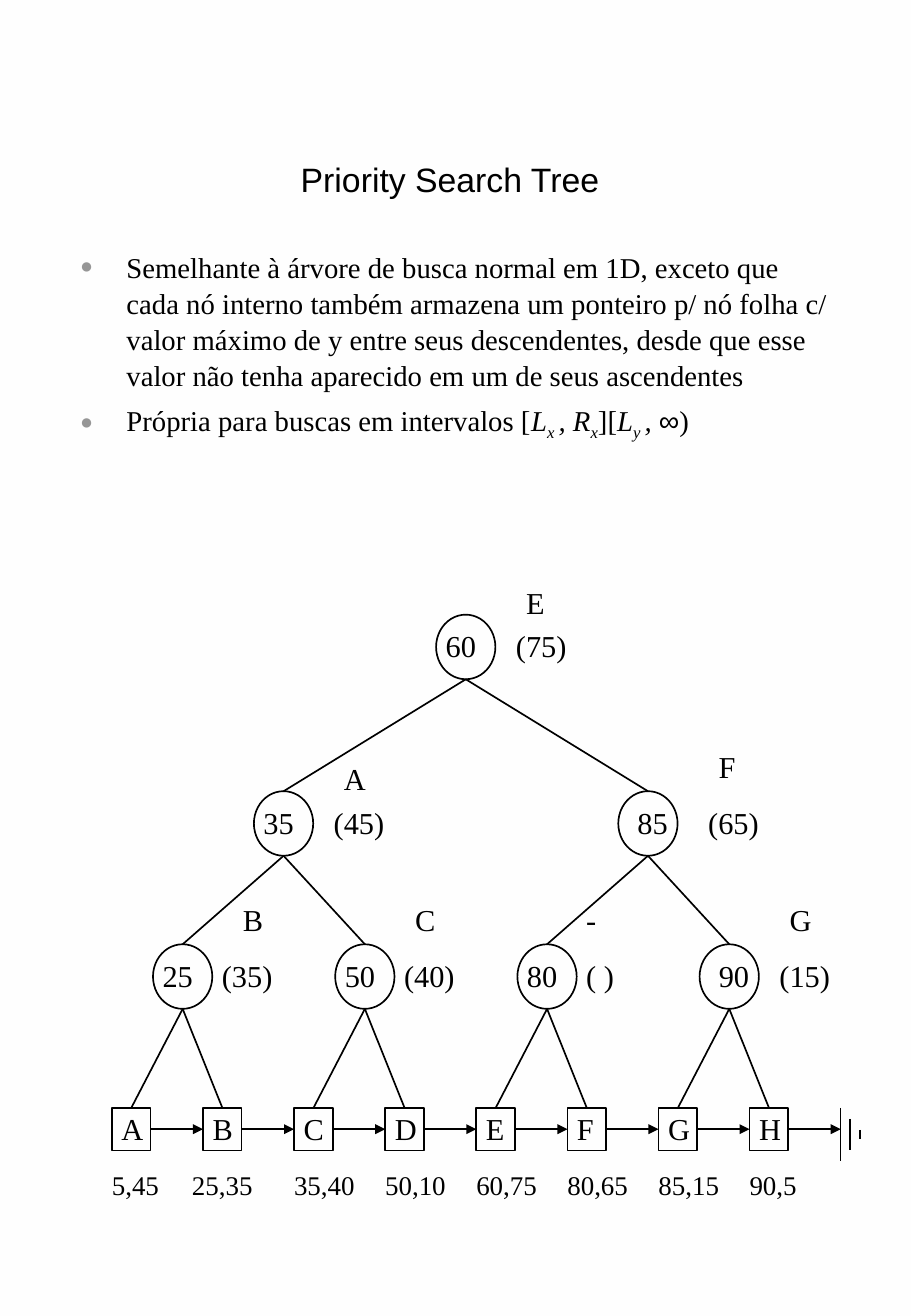
"""Builds the slide that explains the priority search tree."""
from lxml.etree import SubElement
from pptx import Presentation
from pptx.dml.color import RGBColor
from pptx.enum.shapes import MSO_CONNECTOR as Link, MSO_SHAPE as Preset
from pptx.enum.text import MSO_ANCHOR as Anchor, MSO_AUTO_SIZE as Fit, PP_ALIGN as Align
from pptx.oxml.ns import qn
from pptx.util import Cm, Pt

BLACK = RGBColor(0x00, 0x00, 0x00)
WHITE = RGBColor(0xFF, 0xFF, 0xFF)
OFF_WHITE = RGBColor(0xFE, 0xFE, 0xFE)
BULLET_GREY = RGBColor(0x96, 0x96, 0x96)
SERIF, SANS = "Times New Roman", "Arial"
ADVANCE = {"(": .33, ")": .33, "-": .33, ",": .25, " ": .25, "A": .72, "B": .67, "C": .67,
           "D": .72, "E": .61, "F": .56, "G": .72, "H": .72}
CM_PER_PT = 2.54 / 72

NODE_W, NODE_H = 1.24, 1.35
LEAF_W, LEAF_H = 0.81, 0.89
LEAF_LEFT, LEAF_TOP, LEAF_PITCH = 2.34, 23.16, 19.05 / 10
LEVEL_TOPS = [12.85, 16.54, 19.74]
LEVEL_CENTRES = [9.74, 5.93, 3.82]
LEVEL_PITCHES = [0, 7.62, 3.81]

LEVELS = [
    [("60", -.05, "(75)", 1.42, "E", 1.63, -.76)],
    [("35", -.05, "(45)", 1.42, "A", 1.63, -.77), ("85", .15, "(65)", 1.63, "F", 1.85, -1.02)],
    [("25", -.05, "(35)", 1.19, "B", 1.63, -1.02), ("50", -.05, "(40)", 1.19, "C", 1.42, -1.02),
     ("80", -.05, "( )", 1.19, "-", 1.19, -1.02), ("90", .15, "(15)", 1.42, "G", 1.63, -1.02)],
]
LEAVES = [("A", "5,45", -.25), ("B", "25,35", -.48), ("C", "35,40", -.25), ("D", "50,10", -.25),
          ("E", "60,75", -.25), ("F", "80,65", -.25), ("G", "85,15", -.25), ("H", "90,5", -.25)]
DEFINITION = ("Semelhante à árvore de busca normal em 1D, exceto que cada nó interno também "
              "armazena um ponteiro p/ nó folha c/ valor máximo de y entre seus descendentes, "
              "desde que esse valor não tenha aparecido em um de seus ascendentes")
POINTS = [
    [(DEFINITION, "")],
    [("Própria para buscas em intervalos [", ""), ("L", "i"), ("x ", "is"), (", R", "i"),
     ("x", "is"), ("][", ""), ("L", "i"), ("y ", "is"), (", ", "i"), ("∞", "a"), (")", "")],
]


class TreeSlide:
    """Draws every kind of element on one slide in a single style."""

    def __init__(self, deck):
        self.slide = deck.slides.add_slide(deck.slide_layouts[1])
        fill = self.slide.background.fill
        fill.gradient()
        fill.gradient_angle = 180
        for stop, color in zip(fill.gradient_stops, (OFF_WHITE, WHITE)):
            stop.color.rgb = color

    def style(self, run, size, name=SERIF):
        run.font.size, run.font.name = Pt(size), name
        run.font.color.rgb = BLACK

    def place(self, holder, left, top, width, height):
        holder.left, holder.top, holder.width, holder.height = map(Cm, (left, top, width, height))
        holder.text_frame.auto_size = Fit.NONE
        return holder.text_frame

    def title(self, text):
        frame = self.place(self.slide.shapes.title, 1.42, 2.44, 16.18, 2.59)
        frame.vertical_anchor = Anchor.MIDDLE
        frame.text = text
        frame.paragraphs[0].alignment = Align.CENTER
        self.style(frame.paragraphs[0].runs[0], 20, SANS)

    def points(self, points):
        frame = self.place(self.slide.placeholders[1], 1.42, 5.05, 16.18, 5.03)
        for number, pieces in enumerate(points):
            paragraph = frame.add_paragraph() if number else frame.paragraphs[0]
            paragraph.space_before = Pt(5 if number else 0)
            paragraph.line_spacing = 1.05
            self.bullet(paragraph)
            for text, marks in pieces:
                run = paragraph.add_run()
                run.text = text
                self.style(run, 17, SANS if "a" in marks else SERIF)
                run.font.italic = "i" in marks
                if "s" in marks:
                    run.font._element.set("baseline", "-25000")

    def bullet(self, paragraph):
        props = paragraph._p.get_or_add_pPr()
        props.set("marL", str(Cm(.97)))
        props.set("indent", str(-Cm(.97)))
        color = SubElement(props, qn("a:buClr"))
        SubElement(color, qn("a:srgbClr"), val=str(BULLET_GREY))
        SubElement(props, qn("a:buSzPct"), val="75000")
        SubElement(props, qn("a:buFont"), typeface=SERIF)
        SubElement(props, qn("a:buChar"), char="●")

    def label(self, text, left, top, size=18):
        width = .51 + size * CM_PER_PT * sum(ADVANCE.get(sign, .5) for sign in text)
        box = self.slide.shapes.add_textbox(Cm(left), Cm(top), Cm(width),
                                            Cm(.25 + size * CM_PER_PT * 1.15))
        box.text_frame.word_wrap = False
        box.text_frame.auto_size = Fit.SHAPE_TO_FIT_TEXT
        box.text_frame.text = text
        self.style(box.text_frame.paragraphs[0].runs[0], size)

    def outline(self, preset, left, top, width, height):
        shape = self.slide.shapes.add_shape(preset, Cm(left), Cm(top), Cm(width), Cm(height))
        shape.shadow.inherit = False
        shape.fill.background()
        shape.line.color.rgb, shape.line.width = BLACK, Pt(1)
        return shape

    def line(self, x1, y1, x2, y2, arrow=False):
        link = self.slide.shapes.add_connector(Link.STRAIGHT, Cm(x1), Cm(y1), Cm(x2), Cm(y2))
        link.line.color.rgb, link.line.width = BLACK, Pt(1)
        if arrow:
            SubElement(link.line._get_or_add_ln(), qn("a:tailEnd"), type="triangle")
        SubElement(link._element.spPr, qn("a:effectLst"))
        return link

    def node(self, centre, top, value, value_dx, highest, highest_dx, owner, owner_dx, owner_dy):
        left = centre - NODE_W / 2
        self.outline(Preset.OVAL, left, top, NODE_W, NODE_H)
        self.label(value, left + value_dx, top + .14)
        self.label(highest, left + highest_dx, top + .14)
        self.label(owner, left + owner_dx, top + owner_dy)

    def leaf(self, left, letter, point, point_dx):
        self.label(letter, left - .05, LEAF_TOP - .07)
        self.label(point, left + point_dx, LEAF_TOP + 1.15, 16)
        return self.outline(Preset.RECTANGLE, left, LEAF_TOP, LEAF_W, LEAF_H)


def draw_tree(tree):
    lefts = [LEAF_LEFT + LEAF_PITCH * i for i in range(len(LEAVES))]
    leaves = [tree.leaf(left, *leaf) for left, leaf in zip(lefts, LEAVES)]
    tops = LEVEL_TOPS + [LEAF_TOP]
    centres = [[first + pitch * i for i in range(len(level))]
               for first, pitch, level in zip(LEVEL_CENTRES, LEVEL_PITCHES, LEVELS)]
    centres.append([left + LEAF_W / 2 for left in lefts])
    for depth, level in enumerate(LEVELS):
        for i, node in enumerate(level):
            centre, top = centres[depth][i], tops[depth]
            tree.node(centre, top, *node)
            for child in (2 * i, 2 * i + 1):
                branch = tree.line(centre, top + NODE_H, centres[depth + 1][child], tops[depth + 1])
                if depth == len(LEVELS) - 1:
                    branch.end_connect(leaves[child], 0)

    middle, ground = LEAF_TOP + LEAF_H / 2, 17.58
    for i, leaf in enumerate(leaves):
        arrow = tree.line(lefts[i] + LEAF_W, middle, ground, middle, arrow=True)
        arrow.begin_connect(leaf, 3)
        if i + 1 < len(leaves):
            arrow.end_connect(leaves[i + 1], 1)
    for bar in range(3):
        x, half = ground + .2 * bar, .56 - .23 * bar
        tree.line(x, 23.72 - half, x, 23.72 + half)


def main():
    deck = Presentation()
    deck.slide_width, deck.slide_height = Cm(19.05), Cm(27.51)
    tree = TreeSlide(deck)
    tree.title("Priority Search Tree ")
    tree.points(POINTS)
    draw_tree(tree)
    deck.save("out.pptx")


if __name__ == "__main__":
    main()
